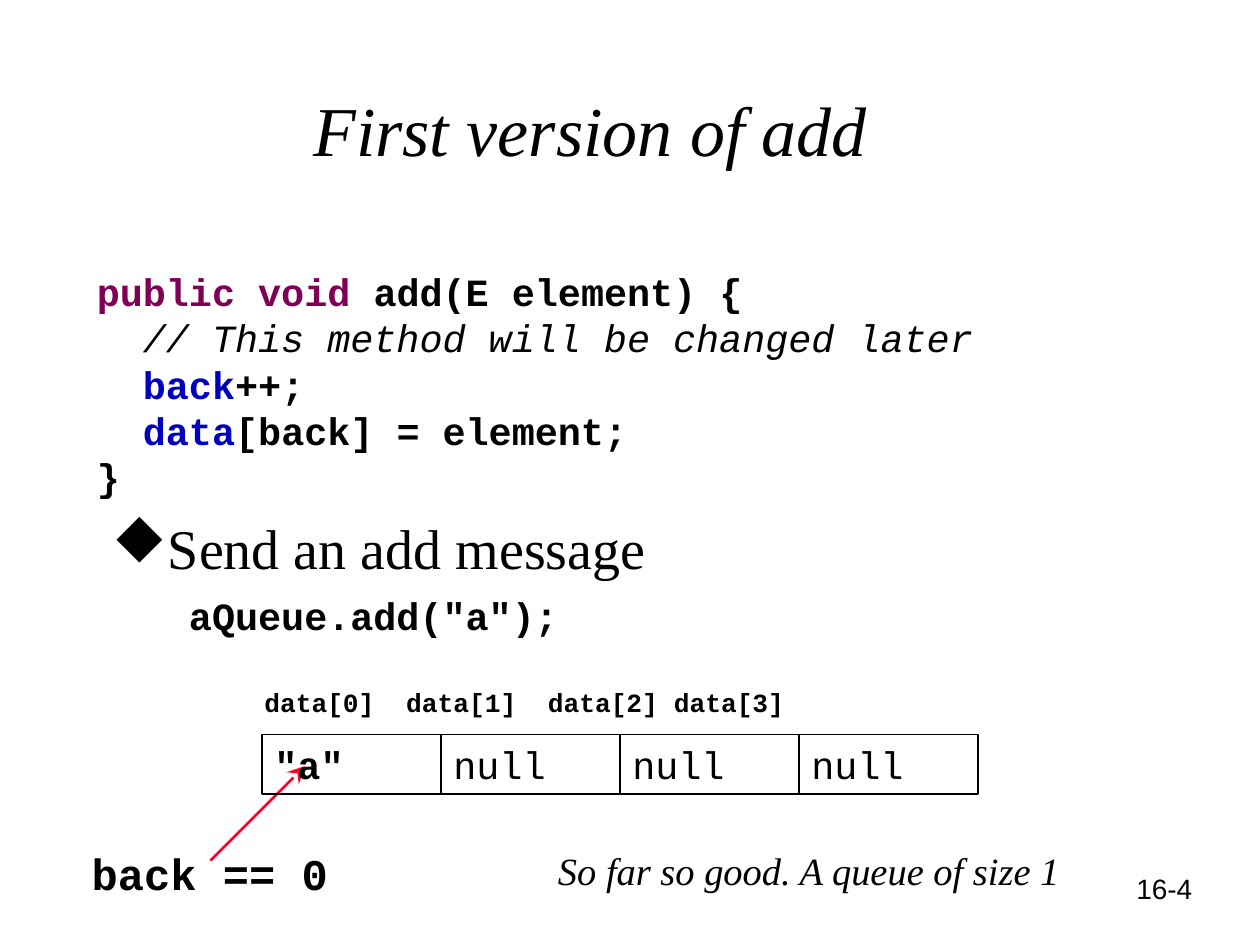
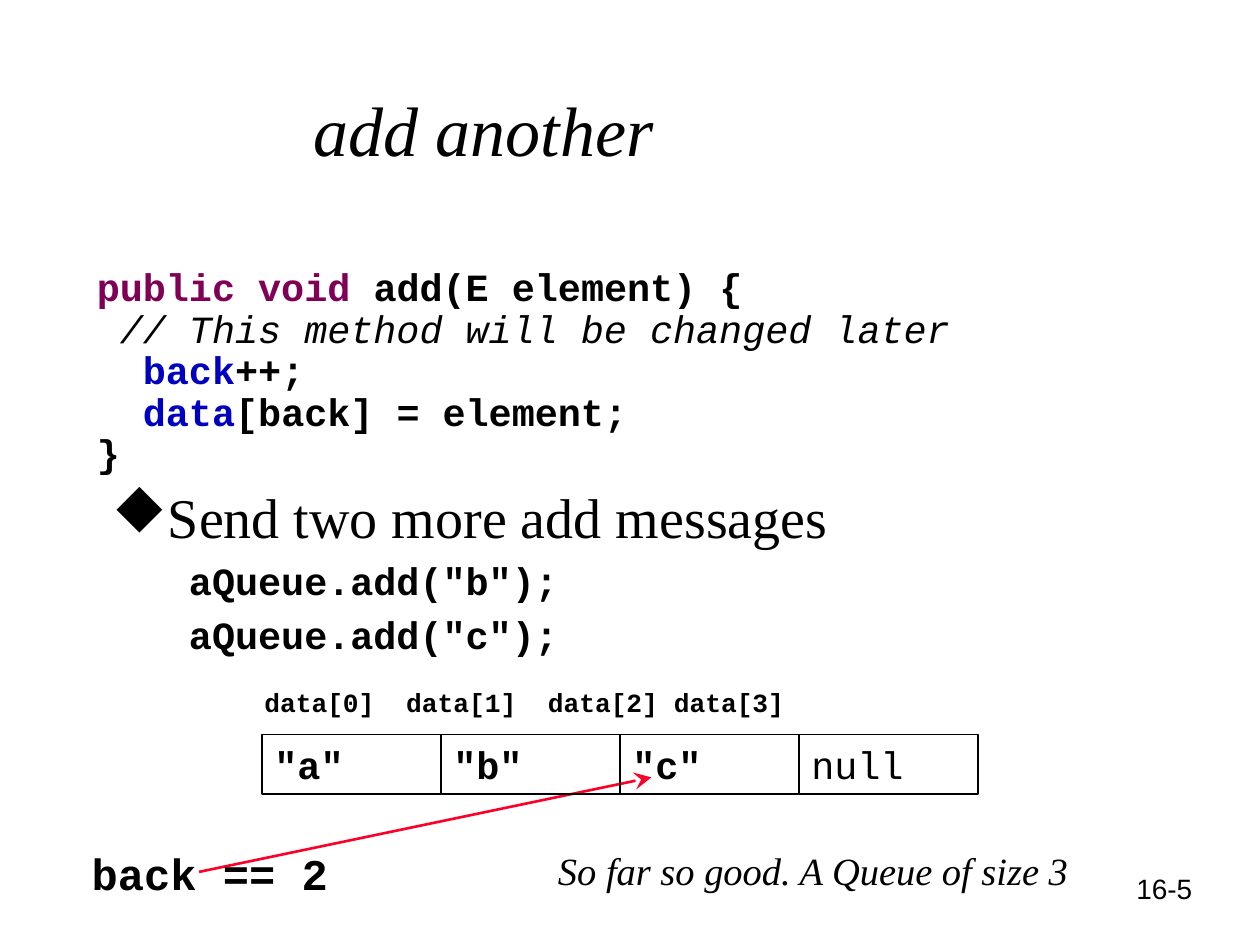
from pptx import Presentation
from pptx.util import Inches as In, Pt
from pptx.dml.color import RGBColor as RGB
from pptx.enum.shapes import MSO_SHAPE as Shape, MSO_CONNECTOR as Link
from pptx.enum.text import MSO_ANCHOR as Anchor
from pptx.oxml.ns import qn
from lxml.etree import SubElement as Sub

BLACK = RGB(0x00, 0x00, 0x00)
RED = RGB(0xFC, 0x01, 0x28)
PLUM = RGB(0x7F, 0x00, 0x55)
BLUE = RGB(0x00, 0x00, 0xC0)

SERIF, MONO, SANS = "Times New Roman", "Courier New", "Arial"

# The letter u is the solid diamond of the symbol font
MARK_FONT, MARK = "Wingdings", "u"

# Array row: left edge, top, cell width, cell height
ROW_X, ROW_Y, CELL_W, CELL_H = 2.08, 5.83, 1.42, 0.47
LABEL_SIZE = 15
LABEL_TABS = (1.125, 2.25, 3.25)


def write(par, text, font=MONO, size=22, color=BLACK, bold=False, italic=False):
    """Add one formatted run to a paragraph."""
    run = par.add_run()
    run.text = text
    face = run.font
    face.name, face.size = font, Pt(size)
    face.bold, face.italic = bold, italic
    face.color.rgb = color


def indent(par, left, first=0):
    props = par._p.get_or_add_pPr()
    props.set("marL", str(In(left)))
    props.set("indent", str(In(first)))
    return props


class Deck:
    def __init__(self):
        self.prs = Presentation()
        self.prs.slide_width, self.prs.slide_height = In(10), In(7.5)
        self.slide = None

    def start(self, title, number):
        """Open a slide with its title and page number."""
        self.slide = self.prs.slides.add_slide(self.prs.slide_layouts[6])
        self.text(8.92, 6.87, 0.92, 0.36, number, font=SANS, size=16)
        par = self.text(0.33, 0.29, 9.33, 1.46, title, mid=True,
                        font=SERIF, size=40, italic=True)
        indent(par, 2.06)

    def frame(self, x, y, w, h, wrap=True):
        box = self.slide.shapes.add_textbox(In(x), In(y), In(w), In(h))
        box.text_frame.word_wrap = wrap
        return box.text_frame

    def text(self, x, y, w, h, words, wrap=True, mid=False, **fmt):
        frame = self.frame(x, y, w, h, wrap)
        if mid:
            frame.vertical_anchor = Anchor.MIDDLE
        par = frame.paragraphs[0]
        write(par, words, **fmt)
        return par

    def body(self, lead, task, calls, space):
        """Code of the method, then a bullet and the calls it makes."""
        frame = self.frame(0.67, 2.08, 8.83, 4.5)

        def line(before=0):
            last = frame.paragraphs[-1]
            par = frame.add_paragraph() if last.runs else last
            par.line_spacing = space
            if before:
                par.space_before = Pt(before)
            return par

        code = [
            [("public void ", dict(color=PLUM)), ("add(E element) {", {})],
            [(lead + "// This method will be changed later",
              dict(bold=False, italic=True))],
            [("  ", {}), ("back", dict(color=BLUE)), ("++;", {})],
            [("  ", {}), ("data", dict(color=BLUE)), ("[back] = element;", {})],
            [("}", {})],
        ]
        for parts in code:
            par = line()
            for words, fmt in parts:
                write(par, words, **{"bold": True, **fmt})

        par = line(8)
        props = indent(par, 0.43, -0.31)
        Sub(props, qn("a:buFont"), typeface=MARK_FONT, charset="2")
        Sub(props, qn("a:buChar"), char=MARK)
        write(par, task, font=SERIF, size=32)
        for call in calls:
            write(line(6.9), "    " + call, bold=True)

    def arrow(self, x1, y1, x2, y2):
        link = self.slide.shapes.add_connector(
            Link.STRAIGHT, In(x1), In(y1), In(x2), In(y2))
        link.line.color.rgb = RED
        link.line.width = Pt(1.5)
        Sub(link.line._get_or_add_ln(), qn("a:tailEnd"),
            type="stealth", w="lg", len="lg")
        Sub(link._element.spPr, qn("a:effectLst"))

    def cell(self, x, words):
        box = self.slide.shapes.add_shape(
            Shape.RECTANGLE, In(x), In(ROW_Y), In(CELL_W), In(CELL_H))
        box.shadow.inherit = False
        box.fill.background()
        box.line.color.rgb = BLACK
        box.line.width = Pt(1)
        frame = box.text_frame
        frame.vertical_anchor = Anchor.TOP
        par = frame.paragraphs[0]
        par._p.get_or_add_pPr().set("algn", "l")
        write(par, words, bold=words != "null")

    def queue(self, items):
        """Index labels above a row of cells."""
        names = "\t".join(f"data[{i}]" for i in range(len(items)))
        par = self.frame(2, 5.4, 7.17, 0.35).paragraphs[0]
        stops = Sub(par._p.get_or_add_pPr(), qn("a:tabLst"))
        for stop in LABEL_TABS:
            Sub(stops, qn("a:tab"), pos=str(In(stop)), algn="l")
        write(par, names, size=LABEL_SIZE, bold=True)
        for i, item in enumerate(items):
            self.cell(ROW_X + i * CELL_W, item)

    def state(self, back, note):
        self.text(4.33, 6.67, 4.75, 0.47, note, font=SERIF, italic=True)
        self.text(0.63, 6.67, 2.07, 0.52, f"back == {back}", wrap=False,
                  size=25, bold=True)


def main():
    deck = Deck()

    # First element
    deck.start("First version of add", "16-4")
    deck.body("  ", "Send an add message", ['aQueue.add("a");'], 1.0)
    deck.arrow(1.67, 6.83, 2.42, 6.08)
    deck.queue(['"a"', "null", "null", "null"])
    deck.state(0, "So far so good. A queue of size 1")

    # Two more elements
    deck.start("add another", "16-5")
    deck.body(" ", "Send two more add messages",
              ['aQueue.add("b");', 'aQueue.add("c");'], 0.9)
    deck.arrow(1.58, 6.92, 5.17, 6.17)
    deck.queue(['"a"', '"b"', '"c"', "null"])
    deck.state(2, "So far so good. A Queue of size 3")

    deck.prs.save("out.pptx")


if __name__ == "__main__":
    main()
